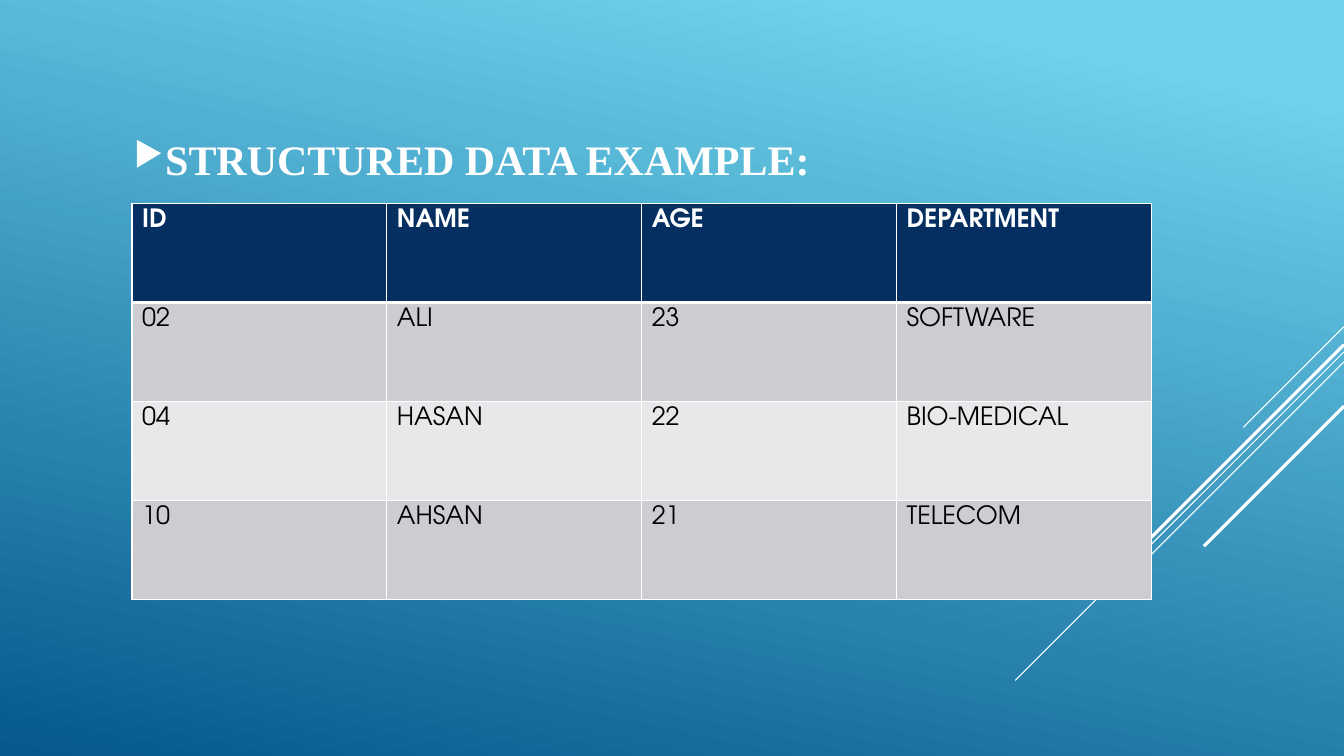
from lxml.etree import SubElement
from pptx import Presentation
from pptx.dml.color import RGBColor
from pptx.enum.shapes import MSO_CONNECTOR
from pptx.enum.text import MSO_ANCHOR
from pptx.oxml import parse_xml
from pptx.oxml.ns import nsdecls, qn
from pptx.util import Inches, Pt

HEADING = "STRUCTURED DATA EXAMPLE:"
ROWS = [
    ("ID", "NAME", "AGE", "DEPARTMENT"),
    ("02", "ALI", "23", "SOFTWARE"),
    ("04", "HASAN", "22", "BIO-MEDICAL"),
    ("10", "AHSAN", "21", "TELECOM"),
]
# Diagonals from the right edge: (start height, run to the left, width in points)
DIAGONALS = [
    (3.24, 1.0, 0.75),
    (3.49, 3.26, 0.75),
    (3.59, 2.07, 0.75),
    (3.42, 1.91, 2.25),
    (4.03, 1.39, 2.25),
]

WHITE = RGBColor(0xFF, 0xFF, 0xFF)
BLACK = RGBColor(0x00, 0x00, 0x00)
SKY = RGBColor(0x6E, 0xD2, 0xEB)
OCEAN = RGBColor(0x06, 0x58, 0x8E)
NAVY = RGBColor(0x05, 0x2F, 0x61)
BANDS = [RGBColor(0xE7, 0xE8, 0xEA), RGBColor(0xCC, 0xCD, 0xD2)]

SLIDE_WIDTH, SLIDE_HEIGHT = 13.33, 7.5
TABLE_LEFT, TABLE_TOP = 1.31, 2.02
TABLE_WIDTH, TABLE_HEIGHT = 10.11, 3.93
INDENT = Inches(0.31)


def paint_background(page):
    fill = page.background.fill
    fill.gradient()
    fill.gradient_angle = 360 - 102
    for stop, position, color in zip(fill.gradient_stops, (0.1, 1), (SKY, OCEAN)):
        stop.position = position
        stop.color.rgb = color


def add_diagonals(page):
    for top, run, width in DIAGONALS:
        line = page.shapes.add_connector(
            MSO_CONNECTOR.STRAIGHT,
            Inches(SLIDE_WIDTH), Inches(top),
            Inches(SLIDE_WIDTH - run), Inches(top + run))
        line.line.color.rgb = WHITE
        line.line.width = Pt(width)
        SubElement(line._element.spPr, qn("a:effectLst"))


def add_heading(page):
    box = page.shapes.add_textbox(Inches(1.23), Inches(1.27), Inches(9.09), Inches(0.6))
    frame = box.text_frame
    frame.word_wrap = True
    frame.vertical_anchor = MSO_ANCHOR.MIDDLE
    para = frame.paragraphs[0]
    para.text = HEADING
    para.font.name = "Times New Roman"
    para.font.size = Pt(30)
    para.font.bold = True
    para.font.color.rgb = WHITE
    properties = para._p.get_or_add_pPr()
    properties.set("marL", str(INDENT))
    properties.set("indent", str(-INDENT))
    bullet = [
        f'<a:buClr {nsdecls("a")}><a:srgbClr val="{WHITE}"/></a:buClr>',
        f'<a:buSzPct {nsdecls("a")} val="80000"/>',
        f'<a:buChar {nsdecls("a")} char="▶"/>',
    ]
    for position, xml in enumerate(bullet):
        properties.insert(position, parse_xml(xml))


def set_borders(cell, top, bottom):
    """Draw white borders; top and bottom are widths in points."""
    properties = cell._tc.get_or_add_tcPr()
    sides = [("lnL", 1), ("lnR", 1), ("lnT", top), ("lnB", bottom)]
    for position, (side, width) in enumerate(sides):
        properties.insert(position, parse_xml(
            f'<a:{side} {nsdecls("a")} w="{Pt(width)}"><a:solidFill>'
            f'<a:srgbClr val="{WHITE}"/></a:solidFill></a:{side}>'))


def add_data_table(page):
    table = page.shapes.add_table(
        len(ROWS), len(ROWS[0]), Inches(TABLE_LEFT), Inches(TABLE_TOP),
        Inches(TABLE_WIDTH), Inches(TABLE_HEIGHT)).table
    for row, values in enumerate(ROWS):
        header = row == 0
        for column, value in enumerate(values):
            cell = table.cell(row, column)
            cell.fill.solid()
            cell.fill.fore_color.rgb = NAVY if header else BANDS[row % 2]
            set_borders(cell, top=3 if row == 1 else 1, bottom=3 if header else 1)
            para = cell.text_frame.paragraphs[0]
            para.text = value
            para.font.name = "TeX Gyre Adventor"
            para.font.size = Pt(18)
            para.font.bold = header
            para.font.color.rgb = WHITE if header else BLACK


def main():
    deck = Presentation()
    deck.slide_width = Inches(SLIDE_WIDTH)
    deck.slide_height = Inches(SLIDE_HEIGHT)
    page = deck.slides.add_slide(deck.slide_layouts[6])
    paint_background(page)
    add_diagonals(page)
    add_heading(page)
    add_data_table(page)
    deck.save("out.pptx")


if __name__ == "__main__":
    main()
